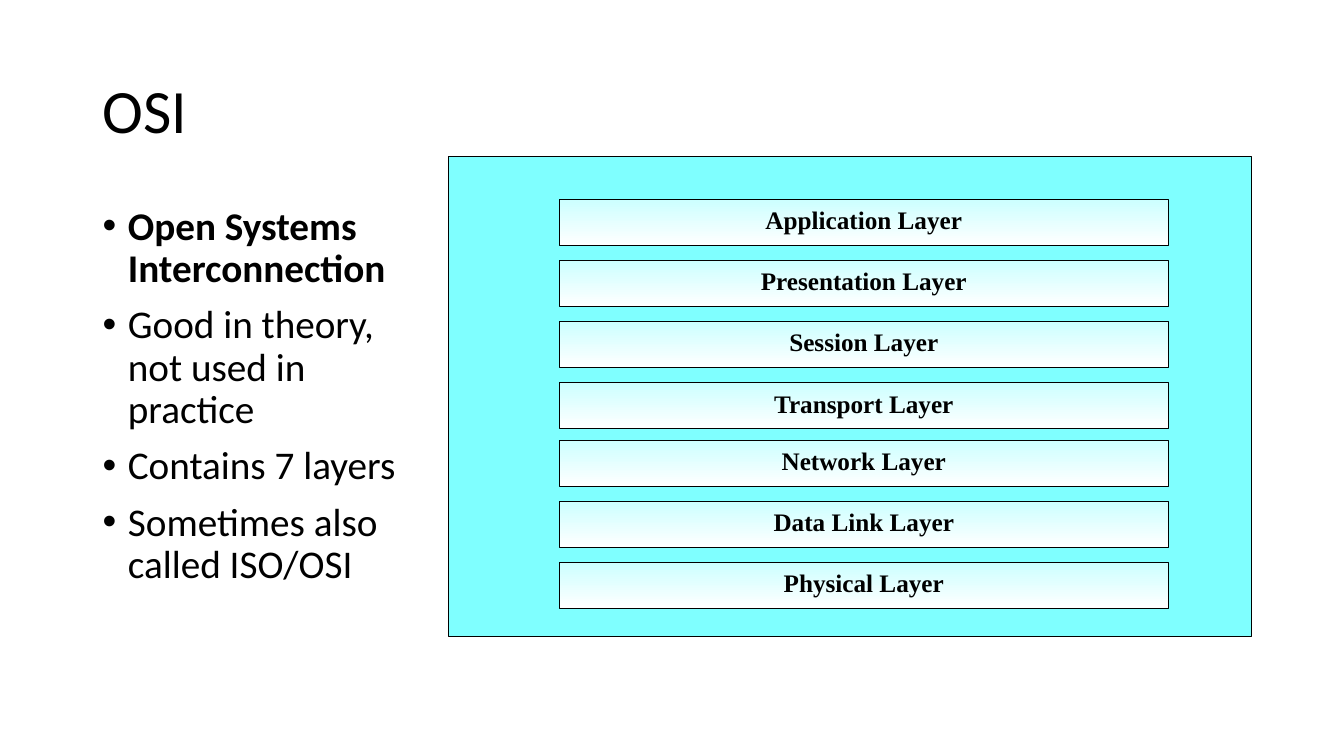
from dataclasses import dataclass

from pptx import Presentation
from pptx.dml.color import RGBColor
from pptx.enum import shapes, text
from pptx.oxml import parse_xml
from pptx.oxml.ns import nsdecls, qn
from pptx.util import Cm, Pt

BLACK = RGBColor(0x00, 0x00, 0x00)
CYAN = RGBColor(0x00, 0xFF, 0xFF)
PALE = RGBColor(0xCC, 0xFF, 0xFF)
WHITE = RGBColor(0xFF, 0xFF, 0xFF)


@dataclass(frozen=True)
class Box:
    left: float
    top: float
    width: float
    height: float

    def place(self) -> tuple:
        return Cm(self.left), Cm(self.top), Cm(self.width), Cm(self.height)


@dataclass(frozen=True)
class Stack:
    """Layers drawn downward from one top edge at an even pitch."""
    top: float
    names: tuple


PITCH = 1.54
PANEL = Box(11.3, 3.94, 20.24, 12.09)
STACKS = (
    Stack(5.03, ("Application", "Presentation", "Session", "Transport")),
    Stack(11.1, ("Network", "Data Link", "Physical")),
)
POINTS = (
    "Open Systems Interconnection",
    "Good in theory, not used in practice",
    "Contains 7 layers",
    "Sometimes also called ISO/OSI",
)


def style(para, face: str, size: int, bold: bool = False) -> None:
    font = para.font
    font.name, font.size, font.bold = face, Pt(size), bold
    font.color.rgb = BLACK


def fit(holder, box: Box, anchor) -> None:
    """Move a placeholder and fix how its text sits."""
    holder.left, holder.top, holder.width, holder.height = box.place()
    frame = holder.text_frame
    frame.word_wrap = True
    frame.auto_size = text.MSO_AUTO_SIZE.NONE
    frame.vertical_anchor = anchor


def add_title(holder) -> None:
    fit(holder, Box(2.33, 1.01, 29.21, 3.68), text.MSO_ANCHOR.MIDDLE)
    holder.text_frame.text = "OSI"
    para = holder.text_frame.paragraphs[0]
    para.alignment = text.PP_ALIGN.LEFT
    para.line_spacing = 0.9
    style(para, "Calibri", 44)


def add_list(holder) -> None:
    fit(holder, Box(2.33, 5.07, 8.64, 12.09), text.MSO_ANCHOR.TOP)
    holder.text_frame.text = "\n".join(POINTS)
    for i, para in enumerate(holder.text_frame.paragraphs):
        para.line_spacing = 0.9
        para.space_before = Pt(10)
        props = para._p.get_or_add_pPr()
        props.set("marL", str(Cm(0.64)))
        props.set("indent", str(-Cm(0.64)))
        props.append(parse_xml(f'<a:buChar {nsdecls("a")} char="•"/>'))
        style(para, "Calibri", 28, bold=i == 0)


def add_rect(group, box: Box):
    rect = group.shapes.add_shape(shapes.MSO_SHAPE.RECTANGLE, *box.place())
    rect.shadow.inherit = False
    rect.line.color.rgb = BLACK
    rect.line.width = Pt(0.75)
    return rect


def add_panel(group) -> None:
    fill = add_rect(group, PANEL).fill
    fill.solid()
    fill.fore_color.rgb = CYAN
    color = fill._xPr.find(qn("a:solidFill"))[0]
    color.append(parse_xml(f'<a:alpha {nsdecls("a")} val="50000"/>'))


def add_layer(group, name: str, top: float) -> None:
    rect = add_rect(group, Box(14.1, top, 15.34, 1.15))
    rect.fill.gradient()
    rect.fill.gradient_angle = 270
    for stop, color in zip(rect.fill.gradient_stops, (PALE, WHITE)):
        stop.color.rgb = color
    frame = rect.text_frame
    frame.vertical_anchor = text.MSO_ANCHOR.TOP
    frame.text = f"{name} Layer"
    para = frame.paragraphs[0]
    para.alignment = text.PP_ALIGN.CENTER
    style(para, "Times New Roman", 18, bold=True)


def main() -> None:
    deck = Presentation()
    deck.slide_width, deck.slide_height = Cm(33.87), Cm(19.05)
    slide = deck.slides.add_slide(deck.slide_layouts[1])
    add_title(slide.shapes.title)
    add_list(slide.placeholders[1])
    group = slide.shapes.add_group_shape()
    add_panel(group)
    for stack in STACKS:
        for i, name in enumerate(stack.names):
            add_layer(group, name, stack.top + i * PITCH)
    deck.save("out.pptx")


if __name__ == "__main__":
    main()
